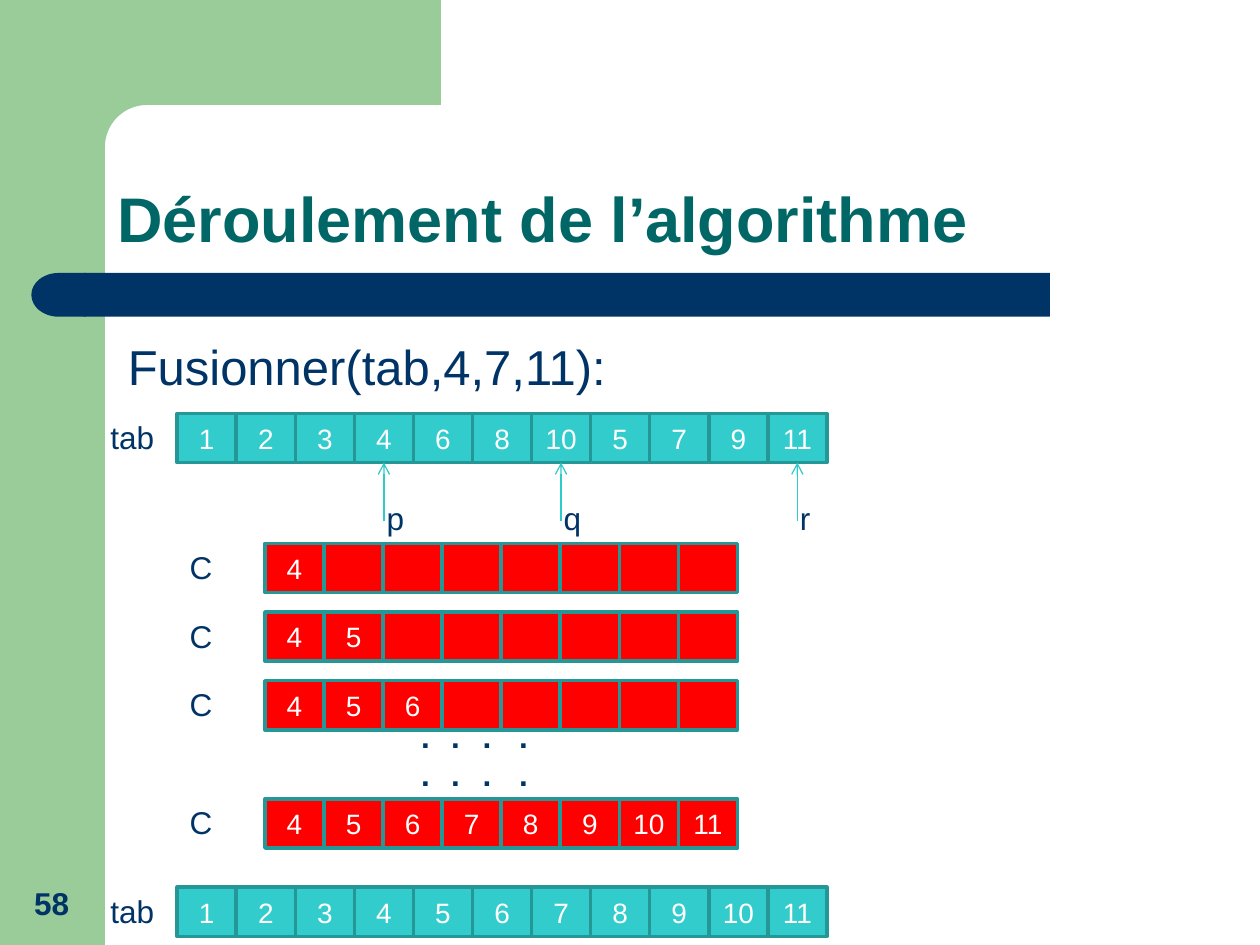
from math import cos, pi, sin

from lxml import etree
from pptx import Presentation
from pptx.dml.color import RGBColor
from pptx.enum.shapes import MSO_CONNECTOR, MSO_SHAPE
from pptx.enum.text import MSO_ANCHOR, PP_ALIGN
from pptx.oxml.ns import qn
from pptx.util import Pt

RECTANGLE = MSO_SHAPE.RECTANGLE
DELAY = MSO_SHAPE.FLOWCHART_DELAY
STRAIGHT = MSO_CONNECTOR.STRAIGHT
MIDDLE, BOTTOM, TOP = MSO_ANCHOR.MIDDLE, MSO_ANCHOR.BOTTOM, MSO_ANCHOR.TOP
CENTER, LEFT = PP_ALIGN.CENTER, PP_ALIGN.LEFT

COLORS = {
    "green": "99CC99",
    "navy": "003366",
    "title": "006666",
    "tab": "33CCCC",
    "merged": "FF0000",
    "border": "269797",
    "arrow": "2ECBCB",
    "white": "FFFFFF",
}
FONT = "Arial"
CELL_WIDTH, CELL_HEIGHT = 33.75, 28.13
TAB_LEFT, TAB_TOP, TAB_LABEL_LEFT = 101.25, 236.25, 56
MERGED_LEFT, MERGED_LABEL_LEFT = 151.4, 101.3
MERGED_SIZE = 8

TAB_ROWS = [
    (TAB_TOP, [1, 2, 3, 4, 6, 8, 10, 5, 7, 9, 11]),
    (507, range(1, 12)),
]
MERGED_ROWS = [
    (310.5, [4]),
    (349.75, [4, 5]),
    (389, [4, 5, 6]),
    (456.5, range(4, 12)),
]
POINTERS = {"p": 3, "q": 6, "r": 10}
DOT_LEFTS = [236.2, 253.4, 271.4, 292.3]


def color(name):
    return RGBColor.from_string(COLORS[name])


def style_text(frame, text, size, color_name, bold=False, align=LEFT, anchor=TOP):
    frame.text = text
    frame.vertical_anchor = anchor
    para = frame.paragraphs[0]
    para.alignment = align
    font = para.runs[0].font
    font.name, font.size, font.bold = FONT, Pt(size), bold
    font.color.rgb = color(color_name)


def paint(shape, fill):
    """Give a shape a plain fill without outline or shadow."""
    shape.shadow.inherit = False
    shape.fill.solid()
    shape.fill.fore_color.rgb = color(fill)
    shape.line.fill.background()
    return shape


def add_block(page, kind, left, top, width, height, fill):
    shape = page.shapes.add_shape(kind, Pt(left), Pt(top), Pt(width), Pt(height))
    return paint(shape, fill)


def add_text(page, text, left, top, width, height, size=18,
             color_name="navy", wrap=True, **style):
    box = page.shapes.add_textbox(Pt(left), Pt(top), Pt(width), Pt(height))
    box.text_frame.word_wrap = wrap
    style_text(box.text_frame, text, size, color_name, **style)
    return box


def add_green_corner(page):
    """Draw the top band, whose inner corner is a quarter circle."""
    center, radius, steps = 84, 24, 16
    angles = [pi / 2 * step / steps for step in range(steps + 1)]
    curve = [(center - radius * sin(a), center - radius * cos(a)) for a in angles]
    points = [(252, 60), *curve, (60, 92), (36, 92), (36, 0)]
    builder = page.shapes.build_freeform(Pt(252), Pt(0))
    builder.add_line_segments([(Pt(x), Pt(y)) for x, y in points], close=True)
    paint(builder.convert_to_shape(), "green")


def add_background(page):
    add_block(page, RECTANGLE, 0, 0, 60, 540, "green")
    add_green_corner(page)
    add_block(page, RECTANGLE, 48, 156, 552, 25, "navy")
    cap = add_block(page, DELAY, 18, 156, 31, 25, "navy")
    cap.element.spPr.find(qn("a:xfrm")).set("flipH", "1")


def add_bullet(page, text):
    box = page.shapes.add_textbox(Pt(66), Pt(189), Pt(606), Pt(290))
    box.text_frame.word_wrap = True
    properties = box.text_frame.paragraphs[0]._p.get_or_add_pPr()
    properties.set("marL", str(Pt(27)))
    properties.set("indent", str(-Pt(27)))
    bullet_color = etree.SubElement(properties, qn("a:buClr"))
    etree.SubElement(bullet_color, qn("a:srgbClr"), val=COLORS["navy"])
    etree.SubElement(properties, qn("a:buSzPct"), val="75000")
    etree.SubElement(properties, qn("a:buChar"), char="●")
    style_text(box.text_frame, text, 28, "navy")


def add_array(page, name, label_left, left, top, values, size, fill):
    """Draw a labelled row of cells; cells beyond the values stay empty."""
    label_width = 39.6 if name == "tab" else 27.4
    add_text(page, name, label_left, top - 1, label_width, 29, wrap=False)
    for index in range(size):
        cell = add_block(page, RECTANGLE, left + index * CELL_WIDTH, top,
                         CELL_WIDTH, CELL_HEIGHT, fill)
        cell.line.color.rgb = color("border")
        cell.line.width = Pt(2)
        if index < len(values):
            style_text(cell.text_frame, str(values[index]), 16, "white",
                       align=CENTER, anchor=MIDDLE)


def add_pointer(page, name, index):
    """Draw an arrow up to the middle of a tab cell, with its name."""
    x = Pt(TAB_LEFT + (index + 0.5) * CELL_WIDTH)
    arrow = page.shapes.add_connector(STRAIGHT, x, Pt(298), x,
                                      Pt(TAB_TOP + CELL_HEIGHT))
    arrow.line.color.rgb = color("arrow")
    arrow.line.width = Pt(0.75)
    etree.SubElement(arrow.line._get_or_add_ln(), qn("a:tailEnd"), type="arrow")
    etree.SubElement(arrow.element.spPr, qn("a:effectLst"))
    add_text(page, name, x.pt - 5.6, 281.5, 28.1, 29)


def main():
    deck = Presentation()
    deck.slide_width, deck.slide_height = Pt(720), Pt(540)
    page = deck.slides.add_slide(deck.slide_layouts[6])

    add_background(page)
    title = add_text(page, "Déroulement de l’algorithme", 60, 60, 624, 90,
                     size=36, color_name="title", bold=True, anchor=BOTTOM)
    title.text_frame.paragraphs[0].line_spacing = 0.9
    add_bullet(page, "Fusionner(tab,4,7,11):")
    add_text(page, "58", 6.5, 492, 46, 38, bold=True, align=CENTER, anchor=BOTTOM)

    for top, values in TAB_ROWS:
        add_array(page, "tab", TAB_LABEL_LEFT, TAB_LEFT, top, values,
                  len(values), "tab")
    for top, values in MERGED_ROWS:
        add_array(page, "C", MERGED_LABEL_LEFT, MERGED_LEFT, top, values,
                  MERGED_SIZE, "merged")
    for name, index in POINTERS.items():
        add_pointer(page, name, index)
    for left in DOT_LEFTS:
        add_text(page, "..", left, 406, 11.5, 51, bold=True)

    deck.save("out.pptx")


if __name__ == "__main__":
    main()
